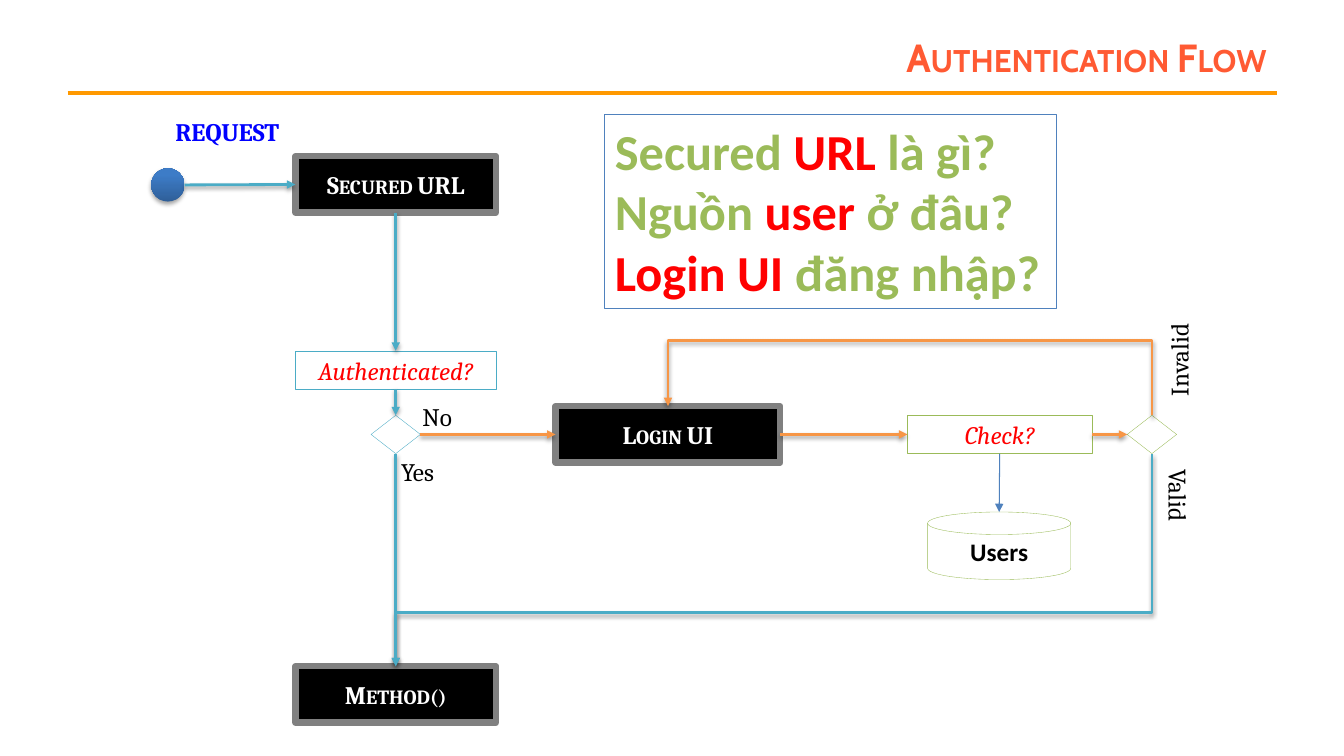
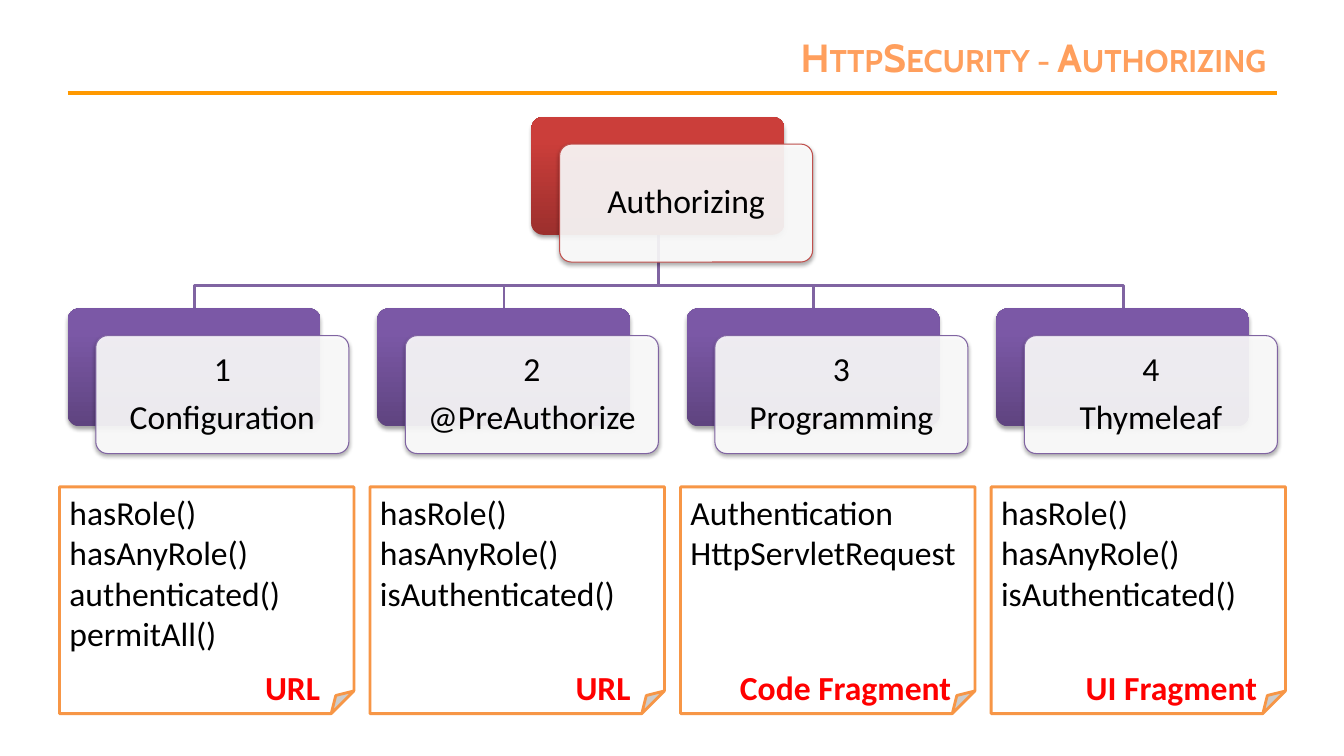
from lxml import etree
from pptx import Presentation
from pptx.dml.color import RGBColor
from pptx.enum.shapes import MSO_CONNECTOR, MSO_SHAPE
from pptx.enum.text import MSO_ANCHOR, MSO_AUTO_SIZE, PP_ALIGN
from pptx.oxml.ns import qn
from pptx.util import Inches, Pt

RECT, OVAL = MSO_SHAPE.RECTANGLE, MSO_SHAPE.OVAL
ROUND, NOTE = MSO_SHAPE.ROUNDED_RECTANGLE, MSO_SHAPE.FOLDED_CORNER
CHOICE = MSO_SHAPE.FLOWCHART_DECISION
DISK = MSO_SHAPE.FLOWCHART_MAGNETIC_DISK
STRAIGHT, ELBOW = MSO_CONNECTOR.STRAIGHT, MSO_CONNECTOR.ELBOW
LEFT, CENTER, RIGHT = PP_ALIGN.LEFT, PP_ALIGN.CENTER, PP_ALIGN.RIGHT
TOP, MIDDLE = MSO_ANCHOR.TOP, MSO_ANCHOR.MIDDLE
FIT = MSO_AUTO_SIZE.SHAPE_TO_FIT_TEXT

BLACK, WHITE = RGBColor(0, 0, 0), RGBColor(255, 255, 255)
GRAY, RED = RGBColor(0x80, 0x80, 0x80), RGBColor(255, 0, 0)
BLUE, GOLD = RGBColor(0, 0, 255), RGBColor(0xFF, 0x99, 0)
CORAL, PEACH = RGBColor(0xFF, 0x5A, 0x33), RGBColor(0xFF, 0x9F, 0x5D)
TEAL, ORANGE = RGBColor(0x4B, 0xAC, 0xC6), RGBColor(0xF7, 0x96, 0x46)
GREEN, PURPLE = RGBColor(0x9B, 0xBB, 0x59), RGBColor(0x80, 0x64, 0xA2)
STEEL, BRICK = RGBColor(0x4F, 0x81, 0xBD), RGBColor(0xC0, 0x50, 0x4D)
NAVY_FADE = RGBColor(0x2F, 0x5F, 0x99), RGBColor(0x3D, 0x7C, 0xC7)
BRICK_FADE = RGBColor(0x9C, 0x2F, 0x2D), RGBColor(0xCB, 0x3E, 0x3A)
PURPLE_FADE = RGBColor(0x5F, 0x44, 0x80), RGBColor(0x7B, 0x58, 0xA6)

STEP = dict(fill=BLACK, line=GRAY, width=4.5)
STEP_TEXT = dict(color=WHITE, bold=True, caps=True)
TEST_TEXT = dict(color=RED, italic=True)
NODES = {
    "url": (RECT, (2.93, 1.55, 1.99, 0.56), STEP, "Secured URL", STEP_TEXT),
    "auth": (RECT, (2.93, 3.48, 1.99, 0.38), dict(line=TEAL),
             "Authenticated?", TEST_TEXT),
    "fork": (CHOICE, (3.68, 4.12, 0.49, 0.38), dict(line=TEAL), "", {}),
    "login": (RECT, (5.51, 4.03, 2.23, 0.56), STEP, "Login UI", STEP_TEXT),
    "method": (RECT, (2.93, 6.61, 1.99, 0.56), STEP, "Method()", STEP_TEXT),
    "dot": (OVAL, (1.5, 1.67, 0.33, 0.33),
            dict(fill=NAVY_FADE, line=None, shade=True), "", {}),
    "check": (RECT, (9, 4.12, 1.83, 0.38), dict(line=GREEN), "Check?", TEST_TEXT),
    "result": (CHOICE, (11.18, 4.12, 0.49, 0.38), dict(line=GREEN), "", {}),
    "users": (DISK, (9.2, 5.08, 1.42, 0.67), dict(line=GREEN), "Users",
              dict(font="Calibri", bold=True)),
}
LINKS = [
    ("url", 2, "auth", 0, TEAL), ("auth", 2, "fork", 0, TEAL),
    ("fork", 2, "method", 0, TEAL), ("fork", 3, "login", 1, ORANGE),
    ("dot", 3, "url", 1, TEAL), ("login", 3, "check", 1, ORANGE),
    ("check", 3, "result", 1, ORANGE), ("check", 2, "users", 0, STEEL),
]
BENDS = [("result", 0, "login", 0, 3.38, ORANGE),
         ("result", 2, "method", 0, 6.08, TEAL)]
LABELS = [
    ("No", (4.09, 3.93, 0.51, 0.4), 0, {}),
    ("Yes", (3.88, 4.48, 0.55, 0.4), 0, {}),
    ("Invalid", (11.22, 3.36, 0.94, 0.4), 270, {}),
    ("Valid", (11.32, 4.73, 0.74, 0.4), 90, {}),
    ("REQUEST", (1.64, 1.11, 1.29, 0.4), 0, dict(color=BLUE, bold=True)),
]
ASKS = [
    [("Secured ", GREEN), ("URL ", RED), ("là gì?", GREEN)],
    [("Nguồn ", GREEN), ("user", RED), (" ở đâu?", GREEN)],
    [("Login UI ", RED), ("đăng nhập?", GREEN)],
]
WAYS = [
    ("Configuration",
     ["hasRole()", "hasAnyRole()", "authenticated()", "permitAll()"],
     "URL", 1.94, 0.75),
    ("@PreAuthorize", ["hasRole()", "hasAnyRole()", "isAuthenticated()"],
     "URL", 1.94, 0.75),
    ("Programming", ["Authentication", "HttpServletRequest"],
     "Code Fragment", 0.49, 2.32),
    ("Thymeleaf", ["hasRole()", "hasAnyRole()", "isAuthenticated()"],
     "UI Fragment", 0.84, 1.92),
]


def inch(*sizes):
    return [Inches(size) for size in sizes]


def effect(item, alpha=None, dist=1.6):
    props = item._element.spPr
    for old in props.findall(qn("a:effectLst")):
        props.remove(old)
    effects = etree.SubElement(props, qn("a:effectLst"))
    if alpha:
        shadow = etree.SubElement(effects, qn("a:outerShdw"), blurRad=str(Pt(3.1)),
                                  dist=str(Pt(dist)), dir="5400000", rotWithShape="0")
        color = etree.SubElement(shadow, qn("a:srgbClr"), val="000000")
        etree.SubElement(color, qn("a:alpha"), val=str(alpha * 1000))


def adjust(item, name, ratio):
    preset = item._element.spPr.find(qn("a:prstGeom"))
    guides = preset.find(qn("a:avLst"))
    if guides is None:
        guides = etree.SubElement(preset, qn("a:avLst"))
    etree.SubElement(guides, qn("a:gd"), name=name,
                     fmla=f"val {round(ratio * 100000)}")


def write(item, lines, size=18, font="Cambria", color=BLACK, bold=False,
          italic=False, caps=False, align=LEFT, anchor=TOP, wrap=True):
    frame = item.text_frame
    frame.word_wrap = wrap
    frame.vertical_anchor = anchor
    if not wrap:
        frame.auto_size = FIT
    for i, line in enumerate(lines):
        para = frame.add_paragraph() if i else frame.paragraphs[0]
        para.alignment = align
        face = para.font
        face.size, face.name = Pt(size), font
        face.bold, face.italic = bold, italic
        face.color.rgb = color
        if caps:
            face._rPr.set("cap", "small")
        if isinstance(line, str):
            para.add_run().text = line
        else:
            for text, tint in line:
                run = para.add_run()
                run.text = text
                run.font.color.rgb = tint


def shape(slide, kind, box, fill=WHITE, line=None, width=0.25, shade=False):
    item = slide.shapes.add_shape(kind, *inch(*box))
    if fill is None:
        item.fill.background()
    elif isinstance(fill, RGBColor):
        item.fill.solid()
        item.fill.fore_color.rgb = fill
    else:
        item.fill.gradient()
        item.fill.gradient_angle = 90
        for stop, tint, place in zip(item.fill.gradient_stops, fill, (0, 0.8)):
            stop.color.rgb = tint
            stop.position = place
    if line is None:
        item.line.fill.background()
    else:
        item.line.color.rgb = line
        item.line.width = Pt(width)
    effect(item, 35 if shade else None, 1.8)
    return item


def label(slide, text, box, **style):
    item = slide.shapes.add_textbox(*inch(*box))
    write(item, [text], **style)
    return item


def stroke(item, color, width=2, arrow=True, alpha=None):
    item.line.color.rgb = color
    item.line.width = Pt(width)
    if arrow:
        etree.SubElement(item.line._get_or_add_ln(), qn("a:tailEnd"), type="triangle")
    effect(item, alpha)


def start(deck, title, color):
    slide = deck.slides.add_slide(deck.slide_layouts[6])
    rule = slide.shapes.add_connector(STRAIGHT, *inch(0.67, 0.92, 12.67, 0.92))
    stroke(rule, GOLD, 3, arrow=False)
    label(slide, title, (2.44, 0.3, 10.22, 0.53), size=28, font="Cabin", color=color,
          bold=True, caps=True, align=RIGHT, anchor=MIDDLE)
    return slide


def site(item, side):
    across, down = [(0.5, 0), (0, 0.5), (0.5, 1), (1, 0.5)][side]
    return (int(item.left + item.width * across), int(item.top + item.height * down))


def link(slide, nodes, head, out, tail, into, color):
    line = slide.shapes.add_connector(
        STRAIGHT, *site(nodes[head], out), *site(nodes[tail], into))
    if head != "dot":
        line.begin_connect(nodes[head], out)
    if tail != "users":
        line.end_connect(nodes[tail], into)
        stroke(line, color, alpha=38)
    else:
        stroke(line, color, 0.75)


def bend(slide, first, last, level, color):
    (x1, y1), (x2, y2) = first, last
    wide, high = abs(y2 - y1), abs(x2 - x1)
    left, top = (x1 + x2 - wide) // 2, (y1 + y2 - high) // 2
    line = slide.shapes.add_connector(ELBOW, left, top, left + wide, top + high)
    frame = line._element.spPr.find(qn("a:xfrm"))
    if y2 < y1:
        frame.set("rot", "16200000")
        frame.set("flipV", "1")
    else:
        frame.set("rot", "5400000")
    adjust(line, "adj1", (Inches(level) - y1) / (y2 - y1))
    stroke(line, color, alpha=38)


def flow(deck):
    slide = start(deck, "Authentication Flow", CORAL)
    nodes = {}
    for name, (kind, box, look, text, style) in NODES.items():
        nodes[name] = shape(slide, kind, box, **look)
        if text:
            write(nodes[name], [text], align=CENTER, anchor=MIDDLE, **style)
    for parts in LINKS:
        link(slide, nodes, *parts)
    for head, out, tail, into, level, color in BENDS:
        bend(slide, site(nodes[head], out), site(nodes[tail], into), level, color)
    for text, box, turn, style in LABELS:
        label(slide, text, box, wrap=False, **style).rotation = turn
    asks = shape(slide, RECT, (6, 1.14, 4.48, 1.92), None, STEEL, 0.75)
    write(asks, ASKS, size=36, font="Calibri", bold=True, wrap=False)


def card(slide, left, top, lines, fade, color):
    back = shape(slide, ROUND, (left, top, 2.51, 1.17), fade, shade=True)
    front = shape(slide, ROUND, (left + 0.28, top + 0.27, 2.51, 1.17), WHITE,
                  color, 0.75, shade=True)
    back.adjustments[0] = front.adjustments[0] = 0.1
    tint = front._element.spPr.find(qn("a:solidFill"))[0]
    etree.SubElement(tint, qn("a:alpha"), val="90000")
    write(front, lines, size=24, font="Calibri", align=CENTER, anchor=MIDDLE)
    frame = front.text_frame
    frame.margin_top = frame.margin_bottom = Inches(0.1)
    for para in frame.paragraphs:
        para.line_spacing = 0.9
        para.space_after = Pt(8.4)


def tree(deck):
    slide = start(deck, "HttpSecurity - Authorizing", PEACH)
    for i in reversed(range(len(WAYS))):
        x = 1.93 + 3.07 * i
        pen = slide.shapes.build_freeform(*inch(6.53, 2.33))
        pen.add_line_segments(
            [inch(*spot) for spot in ((6.53, 2.83), (x, 2.83), (x, 3.06))], close=False)
        branch = pen.convert_to_shape()
        branch.fill.background()
        stroke(branch, PURPLE, arrow=False)
    card(slide, 5.27, 1.16, ["Authorizing"], BRICK_FADE, BRICK)
    for i, (name, calls, scope, shift, width) in enumerate(WAYS):
        card(slide, 0.67 + 3.07 * i, 3.06, [str(i + 1), name], PURPLE_FADE, PURPLE)
        left = 0.59 + 3.08 * i
        note = shape(slide, NOTE, (left, 4.83, 2.92, 2.25), WHITE, ORANGE, 2)
        adjust(note, "adj", 0.1)
        write(note, calls, size=24, font="Calibri")
        label(slide, scope, (left + shift, 6.57, width, 0.5), size=24,
              font="Calibri", color=RED, bold=True, wrap=False)


def main():
    deck = Presentation()
    deck.slide_width, deck.slide_height = inch(13.33, 7.5)
    flow(deck)
    tree(deck)
    deck.save("out.pptx")


if __name__ == "__main__":
    main()
